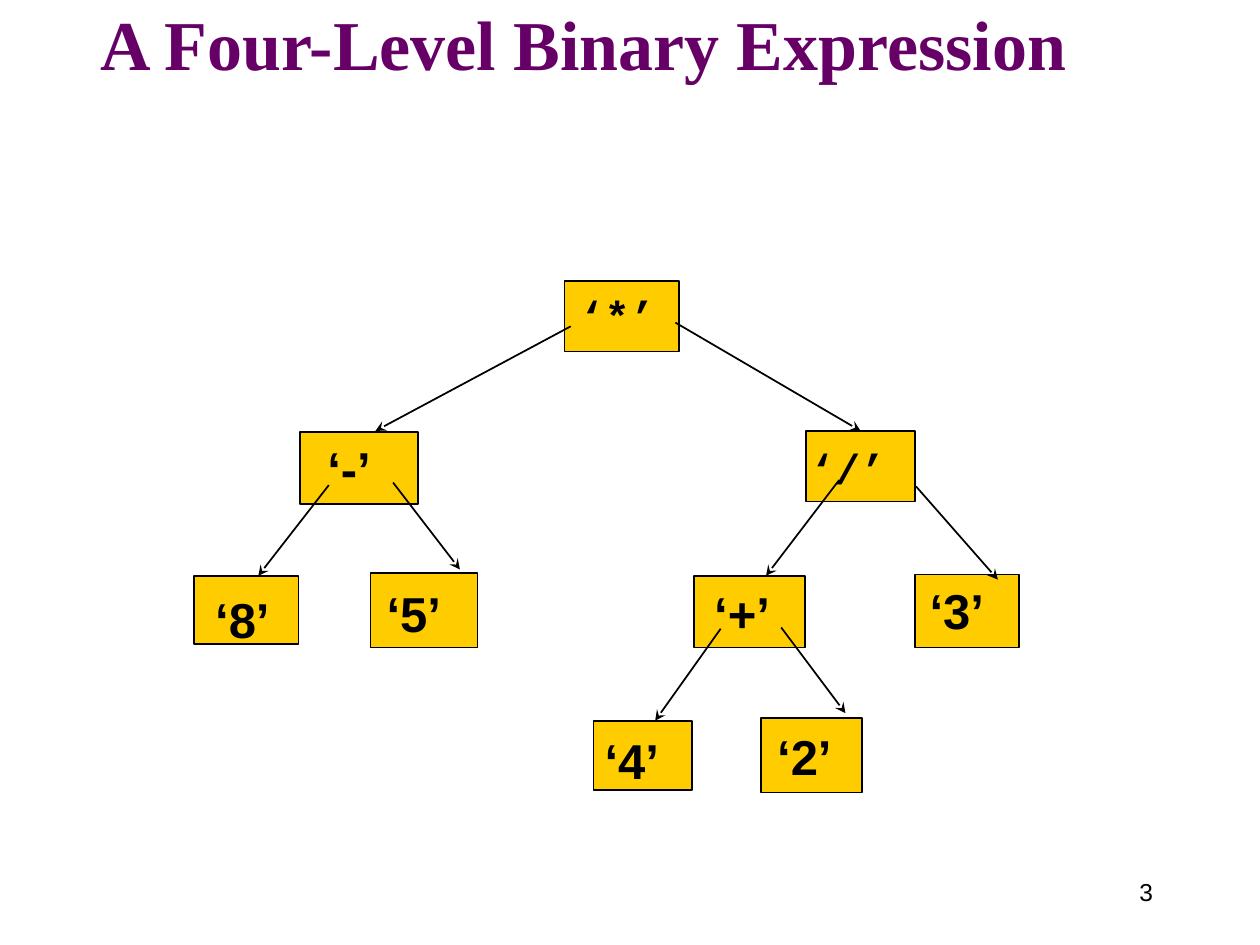
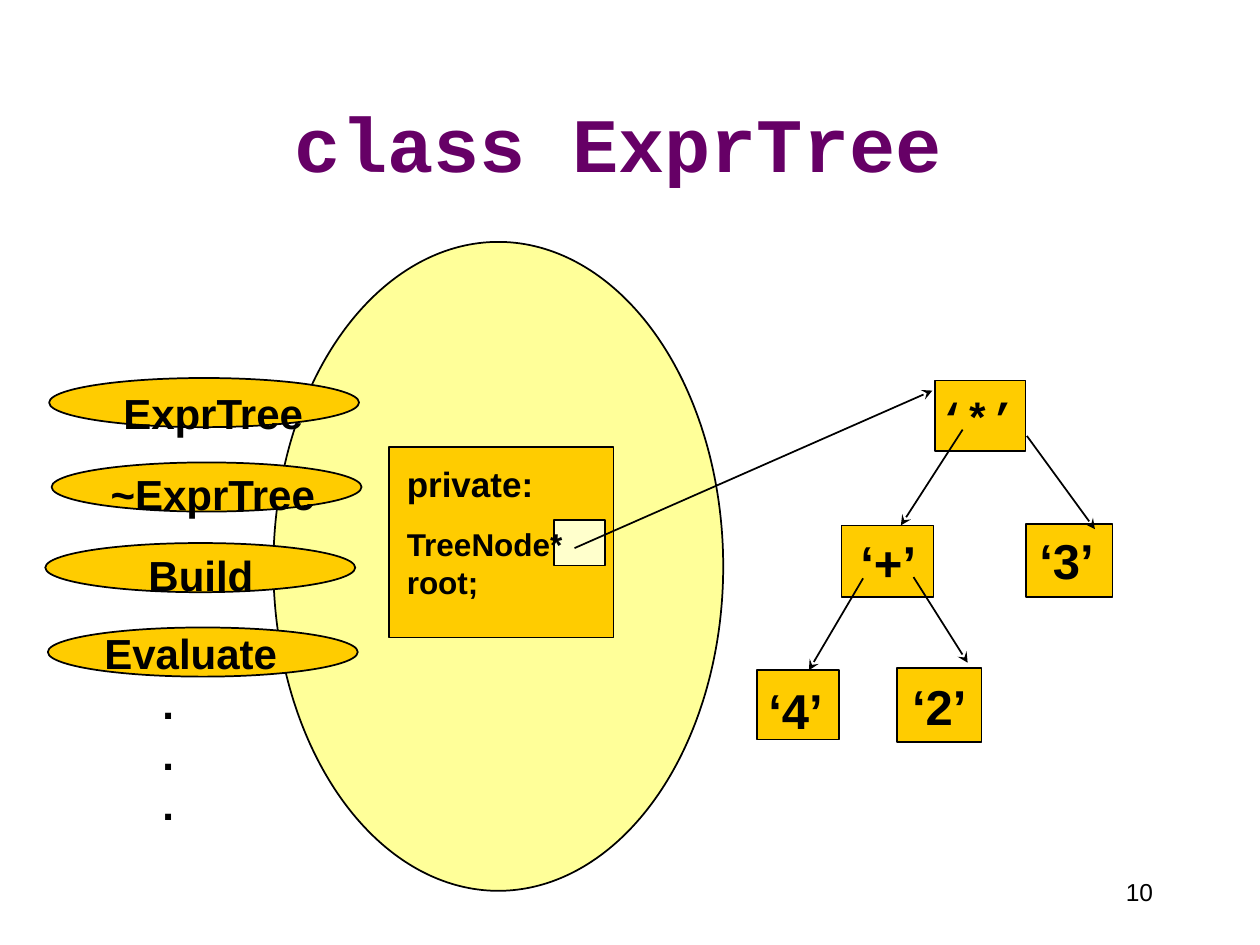
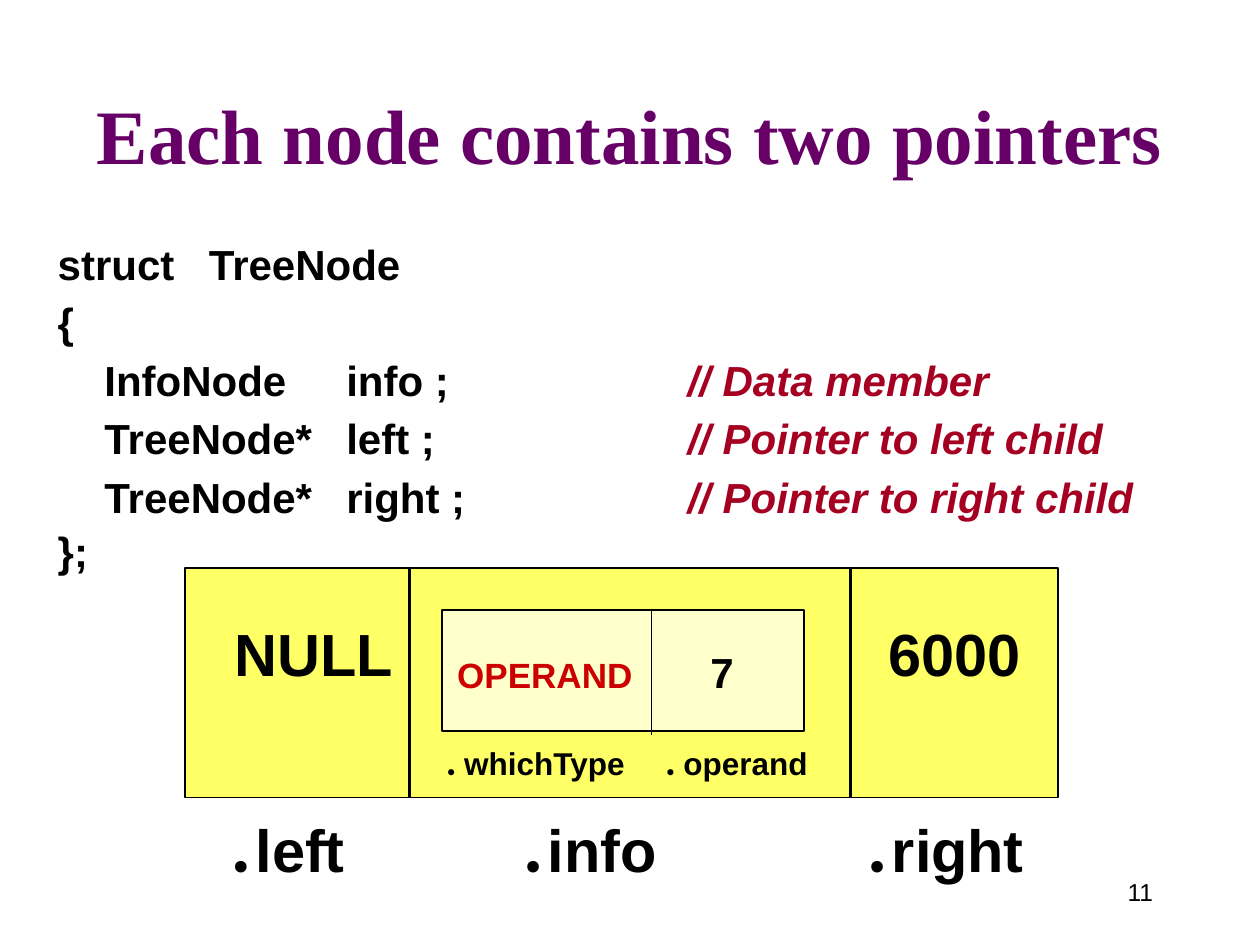
from lxml.etree import SubElement
from pptx import Presentation
from pptx.dml.color import RGBColor
from pptx.enum.shapes import MSO_CONNECTOR, MSO_SHAPE
from pptx.enum.text import MSO_ANCHOR, PP_ALIGN
from pptx.oxml.ns import qn
from pptx.util import Pt

PX = 9144  # 100 px to the inch
HUES = {
    "ink": "000000", "title": "660066", "gold": "FFCC00", "pale": "FFFF99",
    "cream": "FFFFCC", "lemon": "FFFF66", "red": "CC0000", "note": "A50021",
}
SANS, SERIF, MONO, DOT = "Arial", "Times New Roman", "Courier New", "Montserrat"
RECT, OVAL = MSO_SHAPE.RECTANGLE, MSO_SHAPE.OVAL


def emu(*sizes):
    return [round(size) * PX for size in sizes]


def hue(name):
    return RGBColor.from_string(HUES[name])


def text(slide, box, paras, size=24, font=SANS, color="ink", bold=True,
         align=PP_ALIGN.LEFT, anchor=MSO_ANCHOR.TOP, wrap=False,
         inset=(10, 5), stops=(), gaps=(), indents=()):
    """Each paragraph is a string or a list of (string, format) runs."""
    frame = slide.shapes.add_textbox(*emu(*box)).text_frame
    frame.word_wrap, frame.vertical_anchor = wrap, anchor
    frame.margin_left = frame.margin_right = inset[0] * PX
    frame.margin_top = frame.margin_bottom = inset[1] * PX
    for i, runs in enumerate(paras):
        para = frame.add_paragraph() if i else frame.paragraphs[0]
        para.alignment = align
        if gaps:
            para.space_before = Pt(gaps[i])
        props = para._p.get_or_add_pPr()
        if indents:
            props.set("marL", str(indents[i] * PX))
        if stops:
            tabs = SubElement(props, qn("a:tabLst"))
            for stop in stops:
                SubElement(tabs, qn("a:tab"), pos=str(stop * PX), algn="l")
        for words, form in [(runs, {})] if isinstance(runs, str) else runs:
            run = para.add_run()
            run.text = words
            run.font.size = Pt(form.get("size", size))
            run.font.name = form.get("font", font)
            run.font.bold = form.get("bold", bold)
            run.font.italic = form.get("italic", False)
            run.font.color.rgb = hue(form.get("color", color))


def shape(slide, kind, box, fill="gold"):
    item = slide.shapes.add_shape(kind, *emu(*box))
    item.shadow.inherit = False
    item.fill.solid()
    item.fill.fore_color.rgb = hue(fill)
    item.line.color.rgb = hue("ink")
    item.line.width = Pt(1)
    return item


def line(slide, ends, width=1, arrow=False):
    item = slide.shapes.add_connector(MSO_CONNECTOR.STRAIGHT, *emu(*ends))
    item.line.color.rgb = hue("ink")
    item.line.width = Pt(width)
    props = item._element.spPr
    if arrow:
        SubElement(props.find(qn("a:ln")), qn("a:tailEnd"), type="stealth")
    SubElement(props, qn("a:effectLst"))
    return item


def node(slide, box, sign, at, size=28, font=SANS, width=63):
    """Draw a tree node with its label at the given corner."""
    item = shape(slide, RECT, box)
    text(slide, (*at, width, 50 if font == MONO else 57), [sign], size=size, font=font)
    return item


def subtree(slide, sign, left, top, scale=1):
    """Draw the five-node tree and return its root."""
    def fit(x):
        return left + x * scale

    parts = [
        (sign, 169, 0, 86, 56, 162, 4, {"size": 24, "font": MONO, "width": 80}),
        ("‘+’", 80, 115, 88, 57, 86, 116, {"width": 65}),
        ("‘3’", 255, 114, 83, 58, 257, 114, {}),
        ("‘4’", 0, 230, 78, 55, -1, 233, {}),
        ("‘2’", 133, 228, 80, 59, 136, 230, {}),
    ]
    nodes = [
        node(slide, (fit(x), top + y, wide * scale, high), word, (fit(tx), top + ty), **form)
        for word, x, y, wide, high, tx, ty, form in parts
    ]
    for x1, y1, x2, y2 in [(256, 44, 321, 118), (195, 39, 137, 115),
                           (149, 156, 200, 224), (101, 157, 49, 230)]:
        line(slide, (fit(x1), top + y1, fit(x2), top + y2), arrow=True)
    return nodes[0]


def page(deck, title, box, number, **form):
    """Add a slide with its title and page number."""
    slide = deck.slides.add_slide(deck.slide_layouts[6])
    style = {"size": 44, "font": SERIF, **form}
    text(slide, box, [title], color="title", align=PP_ALIGN.CENTER,
         anchor=MSO_ANCHOR.BOTTOM, wrap=True, **style)
    text(slide, (858, 683, 67, 50), [number], size=14, bold=False,
         align=PP_ALIGN.RIGHT, anchor=MSO_ANCHOR.MIDDLE, wrap=True)
    return slide


def levels(deck):
    slide = page(deck, "A Four-Level Binary Expression", (42, 0, 842, 72), "3", size=40)
    node(slide, (448, 223, 91, 56), "‘*’", (450, 225), size=24, font=MONO, width=80)
    node(slide, (238, 343, 94, 57), "‘-’", (250, 343), width=55)
    node(slide, (154, 457, 83, 54), "‘8’", (161, 463))
    node(slide, (294, 455, 85, 59), "‘5’", (297, 458))
    for ends in [(453, 259, 298, 342), (261, 385, 205, 457), (312, 383, 365, 452)]:
        line(slide, ends, arrow=True)
    right = subtree(slide, "‘/’", 471, 342)
    line(slide, (536, 256, 683, 342), arrow=True).end_connect(right, 0)


def members(deck):
    slide = page(deck, "class ExprTree", (62, 29, 858, 125), "10", font=MONO)
    shape(slide, OVAL, (217, 192, 357, 515), "pale")
    subtree(slide, "‘*’", 601, 302, 0.834)

    for x, y in [(39, 300), (41, 367), (36, 431), (38, 498)]:
        shape(slide, OVAL, (x, y, 246, 39))
    for word, x, y, wide in [("ExprTree", 88, 303, 165), ("~ExprTree", 78, 367, 184),
                             ("Build", 108, 431, 103)]:
        text(slide, (x, y, wide, 50), [word])
    text(slide, (73, 493, 157, 170), ["Evaluate", ".", ".", "."], indents=(0, 46, 46, 46))

    shape(slide, RECT, (309, 355, 178, 151))
    shape(slide, RECT, (440, 413, 40, 36), "cream")
    text(slide, (313, 362, 152, 150), [[("private:", {"size": 20})], "TreeNode*", "root;"],
         size=18, gaps=(0, 12, 0))
    line(slide, (456, 435, 740, 310), arrow=True)


def fields(words, gap):
    """Make tabbed runs, each name led by a heavy dot."""
    runs = []
    for i, word in enumerate(words):
        runs += [("\t." if i else ".", {"font": DOT}),
                 (" ", {"font": DOT, "size": gap}), (word, {})]
    return runs


def layout(deck):
    slide = page(deck, "Each node contains two pointers", (52, 23, 896, 125), "11")
    note = {"color": "note", "italic": True}
    rows = [("InfoNode\tinfo ;", "Data member"), ("TreeNode*\tleft ;", "Pointer to left child"),
            ("TreeNode*\tright ;", "Pointer to right child")]
    code = [[(f"\t{field}\t", {}), (f"// {remark}", note)] for field, remark in rows]
    text(slide, (36, 184, 941, 277), ["struct\tTreeNode", "{", *code, "};"], wrap=True,
         stops=(37, 120, 229, 500), gaps=(0, 4.5, 4.5, 4.5, 4.5, 2))

    big = {"size": 34, "inset": (14, 7), "wrap": True}
    text(slide, (171, 638, 700, 71), [fields(("left", "info", "right"), 14)],
         stops=(232, 505), **big)
    shape(slide, RECT, (147, 451, 693, 182), "lemon")
    for x in (325, 675):
        line(slide, (x, 450, x, 633), width=2)
    text(slide, (172, 483, 670, 71), ["NULL\t6000"], stops=(519,), **big)

    shape(slide, RECT, (351, 484, 287, 96), "cream")
    line(slide, (517, 483, 517, 583))
    text(slide, (345, 586, 320, 40), [fields(("whichType", "operand"), 18)],
         size=18, wrap=True, stops=(174,))
    text(slide, (353, 508, 261, 90), [[("OPERAND", {"size": 20, "color": "red"}), ("\t7", {})]],
         wrap=True, stops=(201,))


def main():
    deck = Presentation()
    deck.slide_width, deck.slide_height = emu(1000, 750)
    levels(deck)
    members(deck)
    layout(deck)
    deck.save("out.pptx")


if __name__ == "__main__":
    main()
